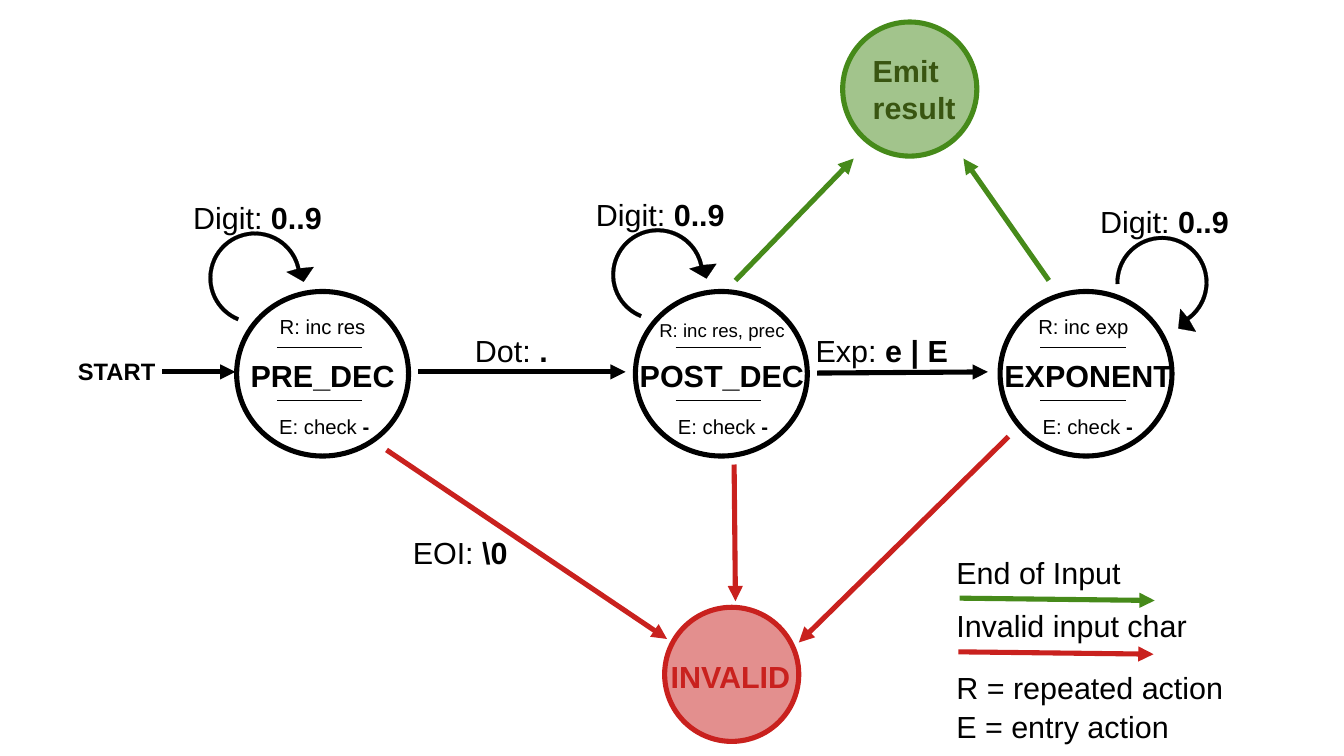
from collections import namedtuple
from math import cos, radians, sin, tan

from lxml.etree import SubElement
from pptx import Presentation
from pptx.dml.color import RGBColor
from pptx.enum.shapes import MSO_CONNECTOR as Connector
from pptx.enum.shapes import MSO_SHAPE as Preset
from pptx.enum.text import MSO_AUTO_SIZE as AutoSize
from pptx.oxml.ns import qn
from pptx.util import Pt

COLORS = {
    "ink": "000000",
    "emit": "468A1A",
    "emit_text": "395511",
    "invalid": "C9211E",
}
MARGINS = {
    "margin_left": Pt(7.2),
    "margin_right": Pt(7.2),
    "margin_top": Pt(3.6),
    "margin_bottom": Pt(3.6),
}
STROKE = 3
HAIRLINE = 0.1
Box = namedtuple("Box", "left top width height")


def rgb(color):
    return RGBColor.from_string(COLORS[color])


def set_all(target, values):
    for name, value in values.items():
        setattr(target, name, value)


def add_label(slide, box, runs, size=18, color="ink", wrap=False):
    shape = slide.shapes.add_textbox(*map(Pt, box))
    frame = shape.text_frame
    set_all(frame, MARGINS)
    set_all(frame, {"word_wrap": wrap, "auto_size": AutoSize.SHAPE_TO_FIT_TEXT})
    for text, bold in runs:
        run = frame.paragraphs[0].add_run()
        run.text = text
        set_all(run.font, {"name": "Arial", "size": Pt(size), "bold": bold})
        run.font.color.rgb = rgb(color)


def add_line(slide, start, end, color="ink", width=STROKE, arrow=True):
    connector = slide.shapes.add_connector(
        Connector.STRAIGHT, *map(Pt, (*start, *end)))
    connector.line.color.rgb = rgb(color)
    connector.line.width = Pt(width)
    properties = connector.element.spPr
    if arrow:
        SubElement(properties.find(qn("a:ln")), qn("a:tailEnd"), type="triangle")
    SubElement(properties, qn("a:effectLst"))


def add_circle(slide, box, color="ink", filled=False):
    shape = slide.shapes.add_shape(Preset.OVAL, *map(Pt, box))
    shape.shadow.inherit = False
    shape.line.color.rgb = rgb(color)
    shape.line.width = Pt(STROKE)
    if filled:
        shape.fill.solid()
        shape.fill.fore_color.rgb = rgb(color)
        tint = shape.element.spPr.find(qn("a:solidFill")).find(qn("a:srgbClr"))
        SubElement(tint, qn("a:alpha"), val="50000")
    else:
        shape.fill.background()


def add_state(slide, box, name, name_box, repeated, repeated_box, repeated_size):
    left, top = box.left, box.top
    add_circle(slide, box)
    for drop in (33.1, 64.1):
        add_line(slide, (left + 23.8, top + drop), (left + 74.2, top + drop),
                 width=HAIRLINE, arrow=False)
    shift_x, shift_y, width = repeated_box
    add_label(slide, Box(left + shift_x, top + shift_y, width, 23),
              [(repeated, False)], repeated_size)
    shift_x, width = name_box
    add_label(slide, Box(left + shift_x, top + 35.3, width, 27.4), [(name, True)])
    add_label(slide, Box(left + 18, top + 69.1, 81, 23),
              [("E: check ", False), ("-", True)], 12)


def arc_points(radius, angles):
    points = [(radius * cos(radians(angles[0])), radius * sin(radians(angles[0])))]
    for start, end in zip(map(radians, angles), map(radians, angles[1:])):
        reach = 4 / 3 * tan((end - start) / 4)
        points += [
            (radius * (cos(start) - reach * sin(start)),
             radius * (sin(start) + reach * cos(start))),
            (radius * (cos(end) + reach * sin(end)),
             radius * (sin(end) - reach * cos(end))),
            (radius * cos(end), radius * sin(end)),
        ]
    return points


def curve_arcs(shape):
    outline = shape.element.spPr.find(".//" + qn("a:path"))
    lines = outline.findall(qn("a:lnTo"))
    for first in (0, 3, 6, 13, 16, 19):
        group = lines[first:first + 3]
        curve = SubElement(outline, qn("a:cubicBezTo"))
        group[0].addprevious(curve)
        for line in group:
            curve.append(line[0])
            outline.remove(line)


def add_digit_loop(slide, box, turn):
    center_x, center_y = box.left + box.width / 2, box.top + box.height / 2
    radius = box.width / 2
    angles = [93.6, 180, 270, 329.6]
    head = [(30.8, -17.1), (28, -7), (16.6, -9.3)]
    outline = arc_points(radius, angles) + head + arc_points(radius - 2.2, angles[::-1])
    drift = (head[0][0] - radius) / 2
    origin_x = center_x + drift * (cos(radians(turn)) - 1)
    origin_y = center_y + drift * sin(radians(turn))
    points = [(Pt(origin_x + x), Pt(origin_y + y)) for x, y in outline]
    builder = slide.shapes.build_freeform(*points[0], scale=1.0)
    builder.add_line_segments(points[1:], close=True)
    shape = builder.convert_to_shape()
    curve_arcs(shape)
    shape.rotation = turn
    shape.shadow.inherit = False
    shape.fill.solid()
    shape.fill.fore_color.rgb = rgb("ink")
    shape.line.color.rgb = rgb("ink")
    shape.line.width = Pt(HAIRLINE)
    add_label(slide, Box(center_x - 43.6, center_y - 50.2, 112, 27.4),
              [("Digit: ", False), ("0..9", True)])


def add_emit_result(slide, box):
    add_circle(slide, box, "emit", filled=True)
    add_label(slide, Box(box.left + 10.6, box.top + 14.4, 94.3, 47.5),
              [("Emit result", True)], color="emit_text", wrap=True)


def add_invalid(slide, box):
    add_label(slide, Box(box.left - 3.6, box.top + 26.6, 92.2, 27.4),
              [("INVALID", True)], color="invalid", wrap=True)
    add_circle(slide, box, "invalid", filled=True)


def add_legend(slide, box):
    left, top = box.left, box.top
    entries = [("End of Input", 0, 112), ("Invalid input char", 31, 151),
               ("R = repeated action", 67.7, 173), ("E = entry action", 90.7, 141)]
    for text, drop, width in entries:
        add_label(slide, Box(left, top + drop, width, 27.4), [(text, False)])
    for color, shift, drop in (("emit", 9, 29.5), ("invalid", 8.3, 61.2)):
        add_line(slide, (left + shift, top + drop),
                 (left + shift + 115.2, top + drop + 1.4), color)


def add_transitions(slide, box):
    arrows = [
        ((95.8, 219.6), (139, 219.6), "ink"),
        ((247, 219.6), (369.4, 219.6), "ink"),
        ((482.4, 220.3), (583.2, 219.6), "ink"),
        ((434.2, 165.6), (504, 93.6), "emit"),
        ((619.2, 165.6), (568.8, 93.6), "emit"),
        ((228.2, 265.7), (393.8, 377.3), "invalid"),
        ((433.4, 274.3), (434.2, 355), "invalid"),
        ((595.4, 257.8), (471.6, 379.4), "invalid"),
    ]
    for (x1, y1), (x2, y2), color in arrows:
        add_line(slide, (box.left + x1, box.top + y1),
                 (box.left + x2, box.top + y2), color)
    labels = [
        (38.9, 207.4, 80.6, [("START", True)], 14),
        (273.3, 192.6, 58, [("Dot:", False), (" .", True)], 18),
        (474.5, 192.6, 94, [("Exp:", False), (" e | E", True)], 18),
        (236.6, 311.8, 71, [("EOI:", False), (" \\0", True)], 18),
    ]
    for x, y, width, runs, size in labels:
        add_label(slide, Box(box.left + x, box.top + y, width, 27.4), runs, size)


def main():
    presentation = Presentation()
    presentation.slide_width = Pt(793.44)
    presentation.slide_height = Pt(446.4)
    slide = presentation.slides.add_slide(presentation.slide_layouts[6])
    add_transitions(slide, Box(0, 0, 793.44, 446.4))
    states = [
        (139.7, "PRE_DEC", (1.2, 100), "R: inc res", (18.4, 10.1, 81), 12),
        (375.1, "POST_DEC", (-4.5, 113), "R: inc res, prec", (7, 12.8, 90), 11),
        (590.4, "EXPONENT", (-4.5, 115), "R: inc exp", (15.5, 10.1, 81), 12),
    ]
    for left, *details in states:
        add_state(slide, Box(left, 172.1, 101.5, 97.2), *details)
    for left, top, turn in ((123.1, 136.8, 18.4), (360.9, 134.9, 18.4),
                            (658.6, 139.4, 84.5)):
        add_digit_loop(slide, Box(left, top, 54.8, 54.8), turn)
    add_emit_result(slide, Box(497.5, 13, 79.2, 79.2))
    add_invalid(slide, Box(392.4, 358.6, 79.2, 79.2))
    add_legend(slide, Box(557.5, 323.7, 172.1, 118))
    presentation.save("out.pptx")


if __name__ == "__main__":
    main()
